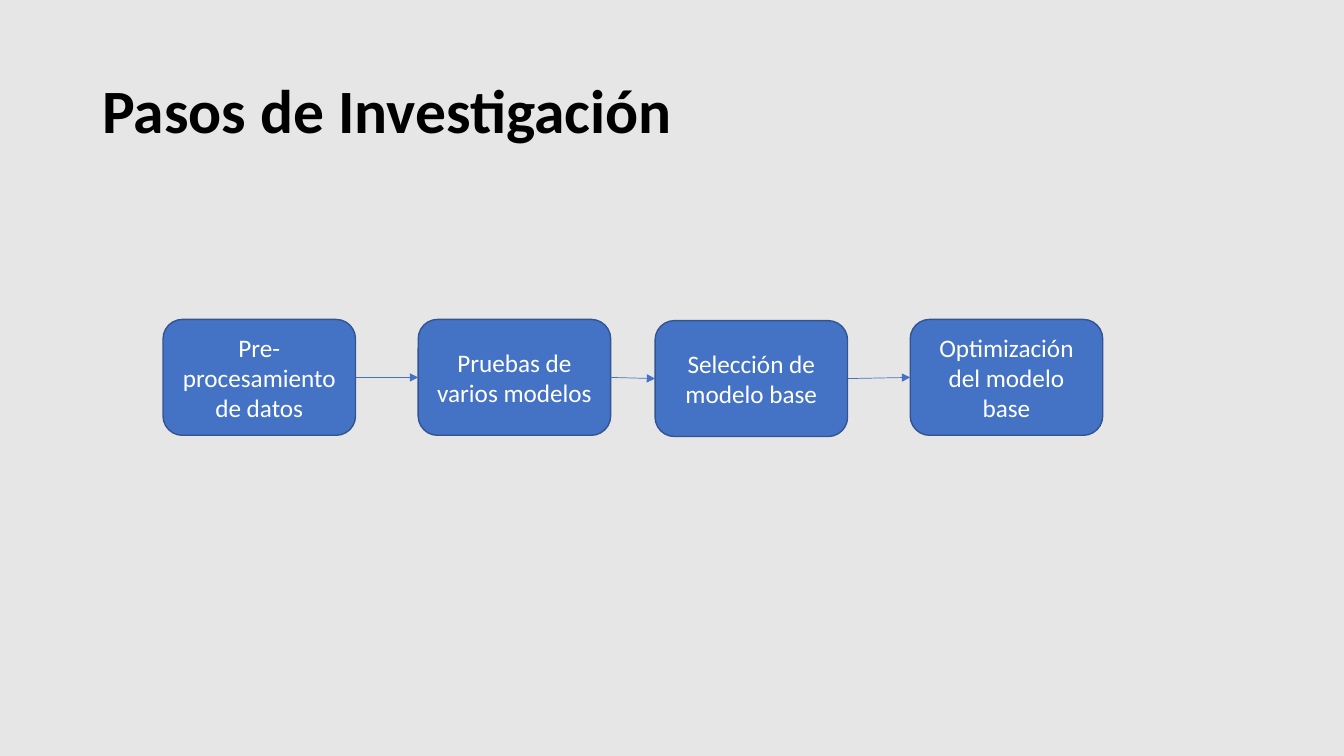
from lxml.etree import SubElement
from pptx import Presentation
from pptx.dml.color import RGBColor
from pptx.enum.shapes import MSO_CONNECTOR, MSO_SHAPE
from pptx.enum.text import MSO_ANCHOR, PP_ALIGN
from pptx.oxml.ns import qn
from pptx.util import Cm, Pt

TITLE = {"size": Pt(44), "bold": True, "name": "Calibri"}
LABEL = {"size": Pt(18), "name": "Calibri"}
LEFT, RIGHT = 1, 3  # connection sites of a box

# Each step: text, then its offset in the flow (cm)
STEPS = [
    ("Pre-procesamiento de datos", 0, 0),
    ("Pruebas de varios modelos", 6.43, 0),
    ("Selección de modelo base", 12.4, 0.03),
    ("Optimización del modelo base", 18.83, 0),
]


def paint(color, code):
    color.rgb = RGBColor.from_string(code)


def write(shape, text, style, code, align):
    frame = shape.text_frame
    frame.word_wrap = True
    frame.vertical_anchor = MSO_ANCHOR.MIDDLE
    para = frame.paragraphs[0]
    para.alignment = align
    run = para.add_run()
    run.text = text
    for key, value in style.items():
        setattr(run.font, key, value)
    paint(run.font.color, code)
    return para


def add_title(slide, x, y, w, h):
    box = slide.shapes.add_textbox(Cm(x), Cm(y), Cm(w), Cm(h))
    para = write(box, "Pasos de Investigación", TITLE, "000000", PP_ALIGN.LEFT)
    para.line_spacing = 0.9


def add_step(slide, text, x, y, w, h):
    step = slide.shapes.add_shape(
        MSO_SHAPE.ROUNDED_RECTANGLE, Cm(x), Cm(y), Cm(w), Cm(h))
    step.shadow.inherit = False
    step.fill.solid()
    paint(step.fill.fore_color, "4472C4")
    paint(step.line.color, "325491")
    step.line.width = Pt(1)
    write(step, text, LABEL, "FFFFFF", PP_ALIGN.CENTER)
    return step


def add_arrow(slide, start, end):
    arrow = slide.shapes.add_connector(MSO_CONNECTOR.STRAIGHT, 0, 0, 0, 0)
    arrow.begin_connect(start, RIGHT)
    arrow.end_connect(end, LEFT)
    paint(arrow.line.color, "4472C4")
    arrow.line.width = Pt(0.5)
    # Arrowhead, and no shadow
    SubElement(arrow.line._get_or_add_ln(), qn("a:tailEnd"), type="triangle")
    SubElement(arrow._element.spPr, qn("a:effectLst"))


def add_flow(slide, x, y, w, h):
    boxes = [add_step(slide, text, x + dx, y + dy, w, h)
             for text, dx, dy in STEPS]
    for start, end in zip(boxes, boxes[1:]):
        add_arrow(slide, start, end)


def main():
    deck = Presentation()
    deck.slide_width, deck.slide_height = Cm(33.87), Cm(19.05)
    slide = deck.slides.add_slide(deck.slide_layouts[6])
    # Background
    slide.background.fill.solid()
    paint(slide.background.fill.fore_color, "E7E6E6")
    # Title and process flow
    add_title(slide, 2.33, 1.02, 29.21, 3.68)
    add_flow(slide, 4.11, 8.05, 4.85, 2.92)
    deck.save("out.pptx")


if __name__ == "__main__":
    main()
